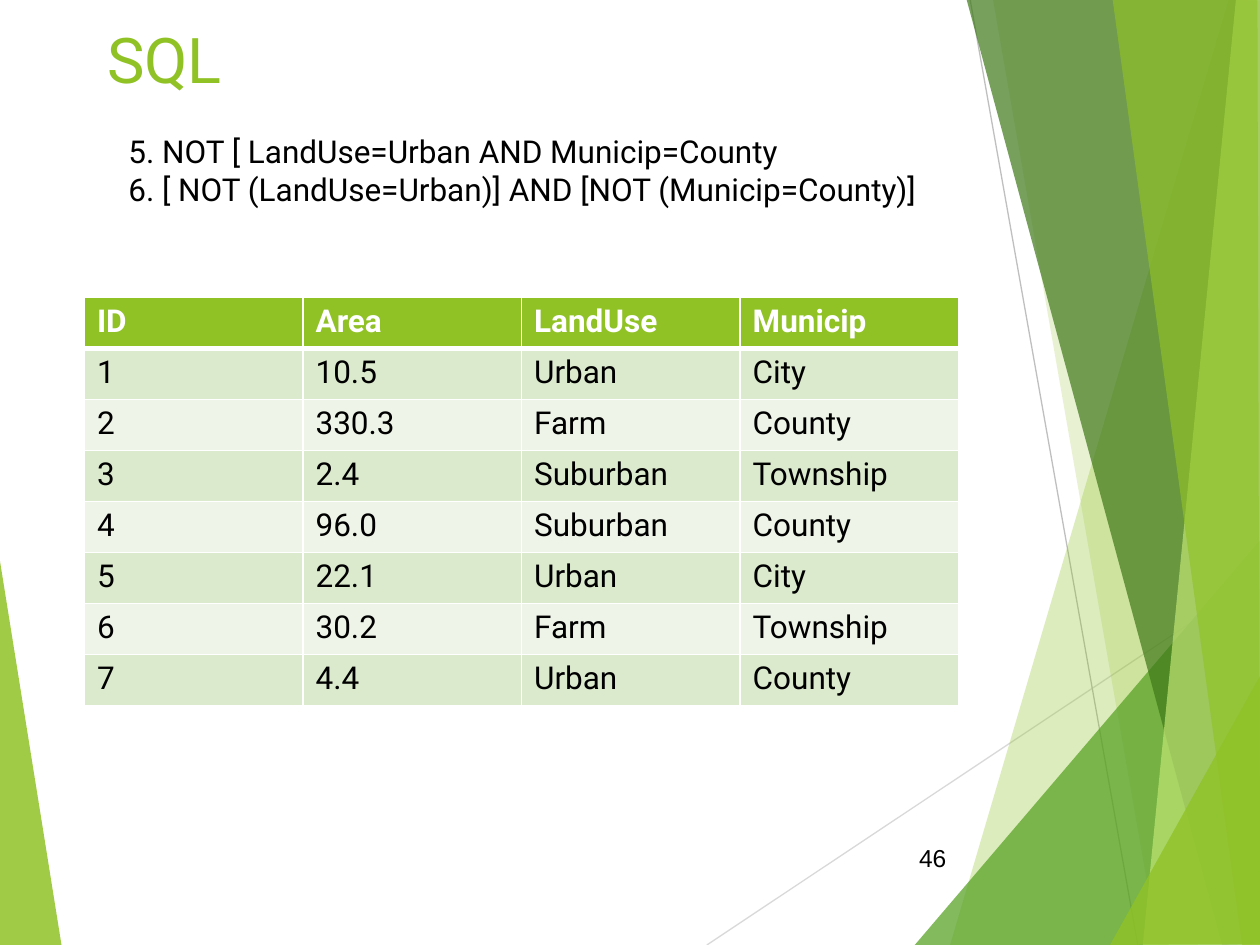
import pptx
import pptx.dml.color
import pptx.enum.shapes
import pptx.enum.text
import pptx.oxml.ns
import pptx.oxml.xmlchemy
import pptx.util
from pptx.util import Inches

qn = pptx.oxml.ns.qn
new_element = pptx.oxml.xmlchemy.OxmlElement


def rgb(code):
    """Return the colour for a hex string."""
    return pptx.dml.color.RGBColor.from_string(code)


def add_run(p, text, size, color="000000", font="Roboto", bold=False):
    """Add one formatted run to a paragraph."""
    r = p.add_run()
    r.text = text
    r.font.size = pptx.util.Pt(size)
    r.font.name = font
    r.font.bold = bold
    r.font.color.rgb = rgb(color)


prs = pptx.Presentation()
prs.slide_width, prs.slide_height = Inches(10), Inches(7.5)
s = prs.slides.add_slide(prs.slide_layouts[5])

# Thin lines behind the facets
for x1, y1, x2, y2, color in [
    (5.61, 7.5, 10.01, 4.57, "D9D9D9"),
    (7.7, 0, 9.03, 7.5, "BFBFBF"),
]:
    line = s.shapes.add_connector(
        pptx.enum.shapes.MSO_CONNECTOR.STRAIGHT,
        Inches(x1), Inches(y1), Inches(x2), Inches(y2))
    line.line.color.rgb = rgb(color)
    line.line.width = pptx.util.Pt(0.75)
    line.element.spPr.append(new_element("a:effectLst"))

# Translucent facets: colour, opacity in percent, corners
facets = [
    ("90C226", 85, [(-0.01, 4.39), (0.49, 7.51), (-0.01, 7.5)]),
    ("90C226", 30, [(9.75, 0), (7.54, 7.5), (10.02, 7.51), (10.01, 0.01)]),
    ("90C226", 20, [(7.88, -0.01), (9.19, 7.5), (10.01, 7.5), (10.01, -0.01)]),
    ("54A021", 72, [(7.26, 7.5), (10, 4.29), (10.01, 7.5)]),
    ("3F7819", 70, [(7.67, -0.01), (9.7, 7.5), (10.01, 7.49), (10.01, -0.01)]),
    ("C0E474", 70, [(9.81, -0.01), (9.07, 7.5), (10.01, 7.5), (10, -0.01)]),
    ("90C226", 65, [(8.83, -0.01), (9.86, 7.5), (10, 7.5), (9.98, -0.01)]),
    ("90C226", 80, [(8.81, 7.5), (10.01, 5.35), (10.01, 7.49)]),
]
for color, opacity, corners in facets:
    points = [(Inches(x), Inches(y)) for x, y in corners]
    builder = s.shapes.build_freeform(*points[0])
    builder.add_line_segments(points[1:], close=True)
    sp = builder.convert_to_shape()
    sp.shadow.inherit = False
    sp.line.fill.background()
    sp.fill.solid()
    sp.fill.fore_color.rgb = rgb(color)
    alpha = new_element("a:alpha")
    alpha.set("val", str(opacity * 1000))
    sp.element.spPr.find(".//" + qn("a:srgbClr")).append(alpha)

# Title, brought in front of the facets
title = s.shapes.title
title.element.getparent().append(title.element)
title.left, title.top = Inches(0.75), Inches(0.11)
title.width, title.height = Inches(8.5), Inches(1.25)
tf = title.text_frame
tf.vertical_anchor = pptx.enum.text.MSO_ANCHOR.TOP
p = tf.paragraphs[0]
p.alignment = pptx.enum.text.PP_ALIGN.LEFT
add_run(p, "SQL", 36, "90C226")

# Land parcel table
rows = [
    ("ID", "Area", "LandUse", "Municip"),
    ("1", "10.5", "Urban", "City"),
    ("2", "330.3", "Farm", "County"),
    ("3", "2.4", "Suburban", "Township"),
    ("4", "96.0", "Suburban", "County"),
    ("5", "22.1", "Urban", "City"),
    ("6", "30.2", "Farm", "Township"),
    ("7", "4.4", "Urban", "County"),
]
table = s.shapes.add_table(len(rows), 4, Inches(0.67), Inches(2.36),
                           Inches(6.94), Inches(3.24)).table
for i, row in enumerate(rows):
    header = i == 0
    for j, text in enumerate(row):
        cell = table.cell(i, j)
        tcPr = cell._tc.get_or_add_tcPr()
        for side in "LRTB":
            thick = (header and side == "B") or (i == 1 and side == "T")
            ln = new_element("a:ln" + side)
            ln.set("w", str(pptx.util.Pt(3 if thick else 1)))
            fill = new_element("a:solidFill")
            clr = new_element("a:srgbClr")
            clr.set("val", "FFFFFF")
            fill.append(clr)
            ln.append(fill)
            tcPr.append(ln)
        cell.fill.solid()
        band = "DBE9CD" if i % 2 else "EEF4E8"
        cell.fill.fore_color.rgb = rgb("90C226" if header else band)
        add_run(cell.text_frame.paragraphs[0], text, 18,
                "FFFFFF" if header else "000000", bold=header)

# Slide number
tf = s.shapes.add_textbox(Inches(7.05), Inches(6.61),
                          Inches(0.56), Inches(0.4)).text_frame
tf.word_wrap = True
tf.vertical_anchor = pptx.enum.text.MSO_ANCHOR.MIDDLE
tf.paragraphs[0].alignment = pptx.enum.text.PP_ALIGN.RIGHT
add_run(tf.paragraphs[0], "46", 14, font="Arial")

# Query expressions
tf = s.shapes.add_textbox(Inches(0.92), Inches(1),
                          Inches(6.58), Inches(1.01)).text_frame
tf.word_wrap = True
queries = ["5. NOT [ LandUse=Urban AND Municip=County",
           "6. [ NOT (LandUse=Urban)] AND [NOT (Municip=County)]"]
for i, query in enumerate(queries):
    p = tf.add_paragraph() if i else tf.paragraphs[0]
    add_run(p, query, 18)

prs.save("out.pptx")
